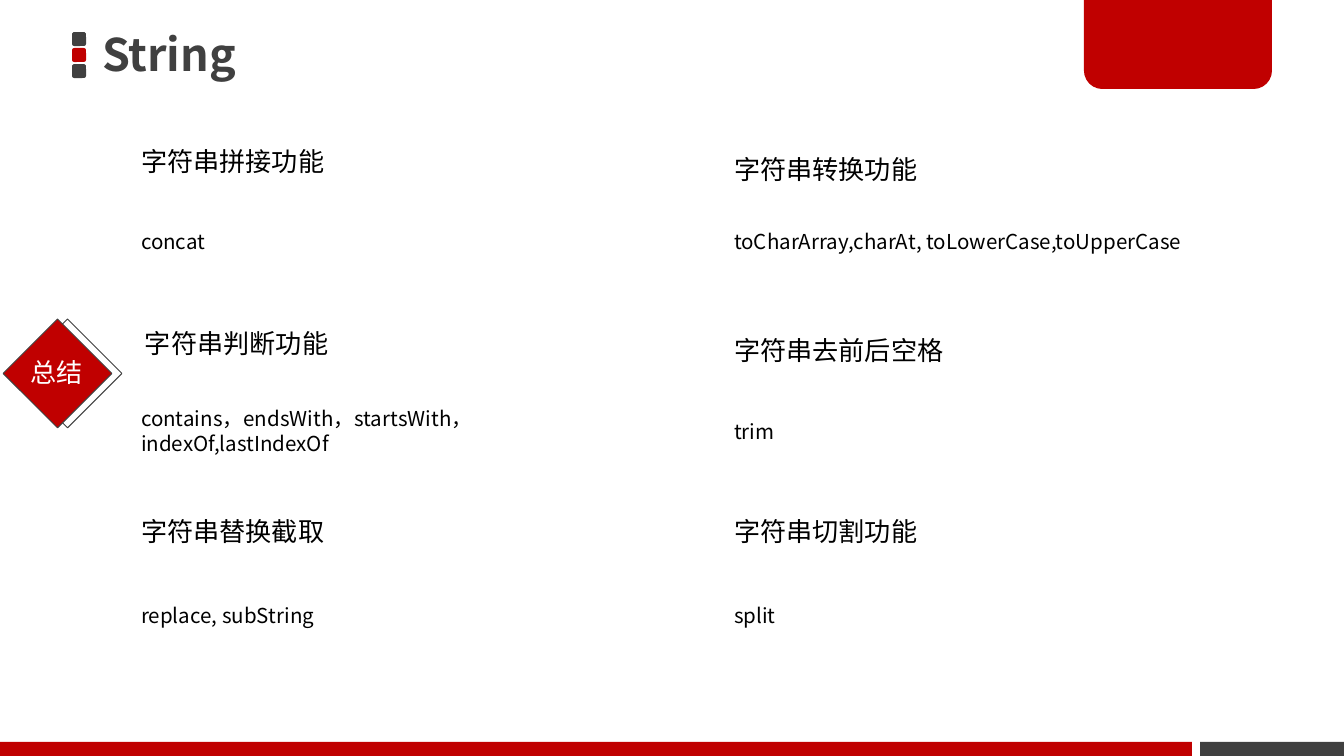
from pptx import Presentation
from pptx.dml.color import RGBColor
from pptx.enum.shapes import MSO_SHAPE
from pptx.enum.text import MSO_ANCHOR, PP_ALIGN
from pptx.util import Emu, Pt

RECT = MSO_SHAPE.RECTANGLE
ROUNDED = MSO_SHAPE.ROUNDED_RECTANGLE
ROUND_PAIR = MSO_SHAPE.ROUND_2_SAME_RECTANGLE
TOP, MIDDLE = MSO_ANCHOR.TOP, MSO_ANCHOR.MIDDLE
LEFT, CENTER = PP_ALIGN.LEFT, PP_ALIGN.CENTER

FONT = "Noto Sans CJK JP"
RED, DARK, BLACK, WHITE = "C00000", "404040", "000000", "FFFFFF"
WIDTH, HEIGHT = 1344, 756
EMU_PER_PX = 914400 / 134.4


def px(length):
    return Emu(round(length * EMU_PER_PX))


def color(value):
    return RGBColor.from_string(value)


def add_block(page, kind, box, fill=None, line=None):
    """Add a preset shape; a missing fill or line is left empty."""
    shape = page.shapes.add_shape(kind, *map(px, box))
    shape.shadow.inherit = False
    if fill:
        shape.fill.solid()
        shape.fill.fore_color.rgb = color(fill)
    else:
        shape.fill.background()
    if line:
        shape.line.color.rgb = color(line)
        shape.line.width = Pt(0.5)
    else:
        shape.line.fill.background()
    return shape


def add_text(page, box, text, size, ink=BLACK, bold=False, align=LEFT,
             anchor=MIDDLE, spacing=None, inset=(10, 5), wrap=True):
    frame = page.shapes.add_textbox(*map(px, box)).text_frame
    frame.word_wrap = wrap
    frame.vertical_anchor = anchor
    frame.margin_left = frame.margin_right = px(inset[0])
    frame.margin_top = frame.margin_bottom = px(inset[1])
    para = frame.paragraphs[0]
    para.text = text
    para.alignment = align
    para.line_spacing = spacing
    para.font.name = FONT
    para.font.size = Pt(size)
    para.font.bold = bold
    para.font.color.rgb = color(ink)


def add_header(page, box, title):
    left, top, width, height = box
    side = 14
    for index, fill in enumerate((DARK, RED, DARK)):
        y = top + index * (height - side) // 2
        add_block(page, ROUNDED, (left, y, side, side), fill)
    add_text(page, (left + 20, top - 6, width - 20, 56), title, 24, DARK, bold=True)


def add_corner_tab(page, box):
    tab = add_block(page, ROUND_PAIR, box, RED)
    tab.adjustments[0] = 0
    tab.adjustments[1] = 0.2


def add_footer(page, box):
    left, top, width, height = box
    dark_width, gap = 144, 8
    add_block(page, RECT, (left, top, width - dark_width - gap, height), RED)
    add_block(page, RECT, (left + width - dark_width, top, dark_width, height), DARK)


def add_badge(page, box, label):
    """Draw a red diamond over an outlined one, with a label across it."""
    left, top, width, height = box
    side = 77
    y = top + (height - side) // 2
    for x, fill in ((left + 26, None), (left + 16, RED)):
        add_block(page, RECT, (x, y, side, side), fill, DARK).rotation = 45
    add_text(page, (left, top + 34, 108, 40), label, 14, WHITE,
             align=CENTER, spacing=0.9)


def add_topic(page, box, heading, methods, heading_style):
    """Place a heading above its methods; the style may move the heading."""
    left, top, width, height = box
    style = {"anchor": TOP, "spacing": 1.5, **heading_style}
    dx, dy = style.pop("shift", (0, 0))
    add_text(page, (left + dx, top + dy, width - dx, 56), heading, 14, **style)
    add_text(page, (left, top + height - 78, width, 78), methods, 11)


def add_topics(page, columns, rows, topics):
    for index, topic in enumerate(topics):
        left, width = columns[index % 2]
        top, height = rows[index // 2]
        add_topic(page, (left, top, width, height), *topic)


def main():
    deck = Presentation()
    deck.slide_width, deck.slide_height = px(WIDTH), px(HEIGHT)
    page = deck.slides.add_slide(deck.slide_layouts[6])

    add_footer(page, (0, 742, WIDTH, 14))
    add_corner_tab(page, (1084, -3, 188, 92))
    add_badge(page, (3, 320, 119, 108), "总结")
    add_topics(
        page,
        columns=((131, 488), (724, 509)),
        rows=((125, 155), (314, 156), (495, 159)),
        topics=(
            ("字符串拼接功能", "concat", {}),
            ("字符串转换功能", "toCharArray,charAt, toLowerCase,toUpperCase",
             {"anchor": MIDDLE, "spacing": 2}),
            ("字符串判断功能", "contains，endsWith，startsWith，indexOf,lastIndexOf",
             {"anchor": MIDDLE, "spacing": None, "shift": (4, 1)}),
            ("字符串去前后空格", "trim", {}),
            ("字符串替换截取", "replace, subString", {}),
            ("字符串切割功能", "split", {}),
        ),
    )
    add_header(page, (72, 32, 987, 46), "String")
    deck.save("out.pptx")


if __name__ == "__main__":
    main()
